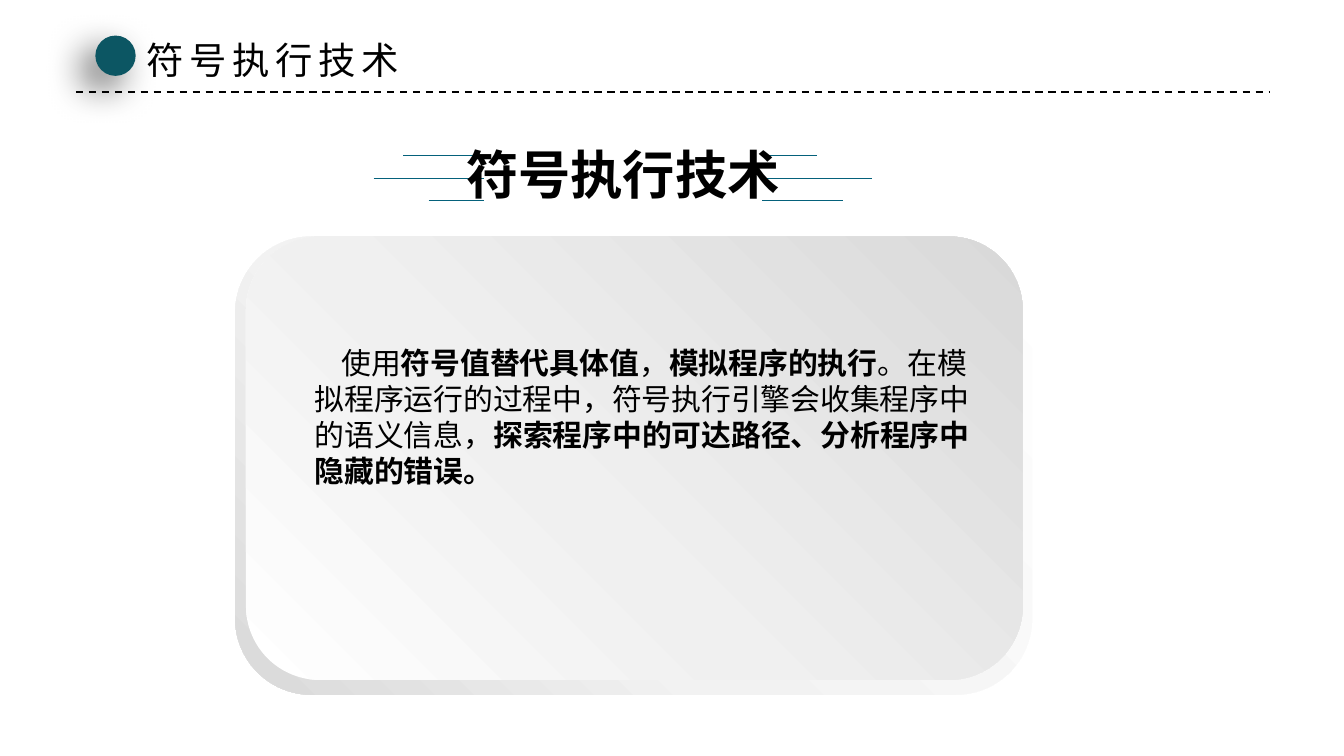
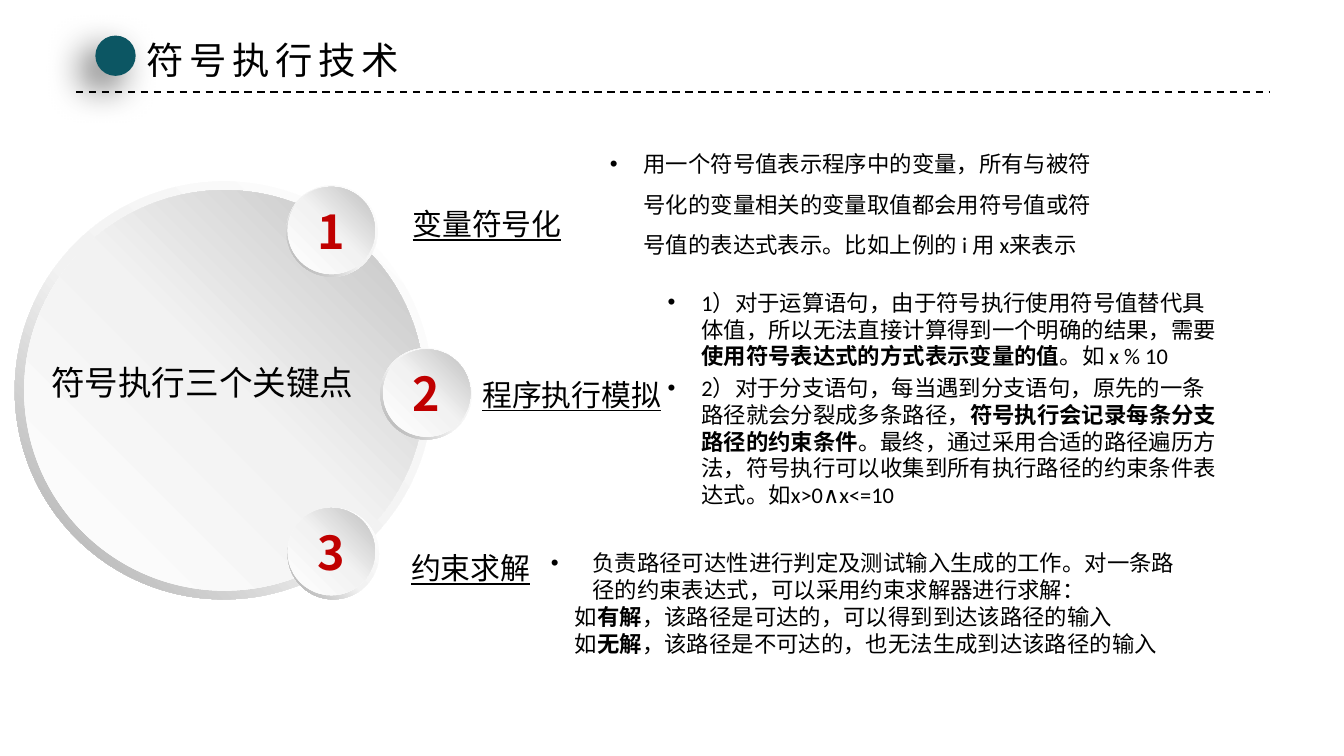
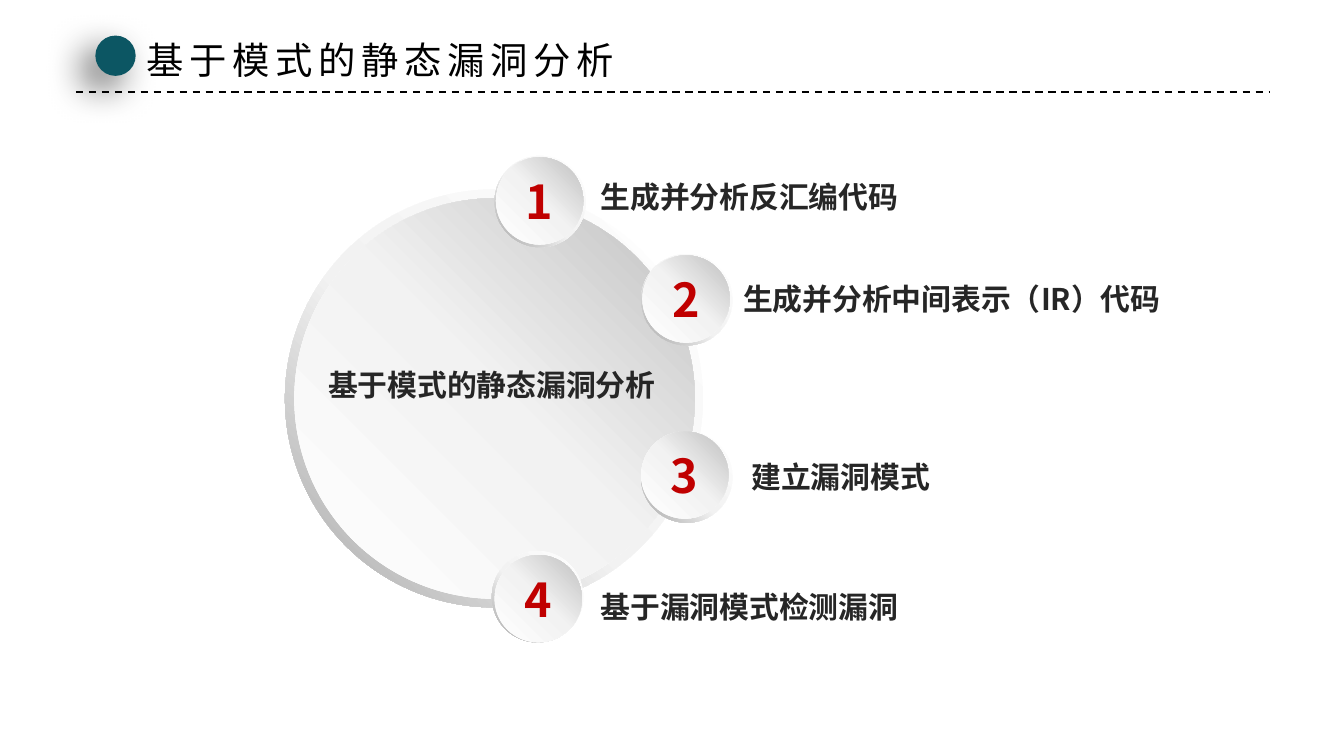
from lxml.etree import SubElement as Sub
from pptx import Presentation
from pptx.dml.color import RGBColor
from pptx.enum.dml import MSO_LINE as Dash
from pptx.enum.shapes import MSO_CONNECTOR as Link, MSO_SHAPE as Kind
from pptx.enum.text import MSO_ANCHOR as Anchor, MSO_AUTO_SIZE as Fit, PP_ALIGN as Align
from pptx.oxml.ns import qn
from pptx.util import Inches, Pt

# Grid: 100 columns by 56.25 rows of square cells (16:9)
CELL = Inches(0.1)
COLS, ROWS = 100, 56.25

SANS, LATIN = "Noto Sans CJK SC", "Calibri"
BLACK = RGBColor(0x00, 0x00, 0x00)
DARK = RGBColor(0x26, 0x26, 0x26)
RED = RGBColor(0xC0, 0x00, 0x00)
TEAL = RGBColor(0x0C, 0x56, 0x63)
BLUE = RGBColor(0x04, 0x61, 0x7B)
WHITE = RGBColor(0xFF, 0xFF, 0xFF)
PALE = RGBColor(0xF2, 0xF2, 0xF2)
MIST = RGBColor(0xF0, 0xF0, 0xF0)
LIGHT = RGBColor(0xD9, 0xD9, 0xD9)
SILVER = RGBColor(0xBF, 0xBF, 0xBF)
GREY = RGBColor(0xA6, 0xA6, 0xA6)

# Gradients: direction (counter-clockwise degrees) and stops
DOWN, UP = 225, 45
RIM = DOWN, [(0, WHITE), (55, PALE), (100, GREY)]
FACE = UP, [(0, WHITE), (51, PALE), (100, SILVER)]
BACK = DOWN, [(0, WHITE), (62, PALE), (100, LIGHT)]
FRONT = UP, [(0, WHITE), (42, MIST), (100, LIGHT)]


def grid(*cells):
    return [round(cell * CELL) for cell in cells]


def rule(slide, left, right, row, color, width, dash=None):
    line = slide.shapes.add_connector(Link.STRAIGHT, *grid(left, row, right, row))
    line.line.color.rgb = color
    line.line.width = Pt(width)
    if dash:
        line.line.dash_style = dash
    Sub(line._element.spPr, qn("a:effectLst"))


def solid(slide, kind, box, fill):
    """Borderless shape, filled with a colour or a gradient."""
    shape = slide.shapes.add_shape(kind, *grid(*box))
    shape.line.fill.background()
    shape.shadow.inherit = False
    if isinstance(fill, RGBColor):
        shape.fill.solid()
        shape.fill.fore_color.rgb = fill
        return shape
    angle, stops = fill
    shape.fill.gradient()
    shape.fill.gradient_angle = angle
    ramp = shape._element.spPr.find(".//" + qn("a:gsLst"))
    ramp.clear()
    for share, color in stops:
        stop = Sub(ramp, qn("a:gs"), pos=str(share * 1000))
        Sub(stop, qn("a:srgbClr"), val=str(color))
    return shape


def cast(shape):
    """Soft shadow towards the lower left."""
    effects = shape._element.spPr.find(qn("a:effectLst"))
    shade = Sub(effects, qn("a:outerShdw"), blurRad=str(Pt(20)), dist=str(Pt(10)),
                dir="8100000", algn="tr", rotWithShape="0")
    color = Sub(shade, qn("a:srgbClr"), val=str(BLACK))
    Sub(color, qn("a:alpha"), val="60000")


def style(run, size, face, color, bold):
    font = run.font
    font.size, font.name, font.bold = Pt(size), face, bold
    font.color.rgb = color
    Sub(run._r.get_or_add_rPr(), qn("a:ea"), typeface=SANS)


def write(slide, box, lines, size=16, face=SANS, color=BLACK, bold=False,
          align=None, space=None, inset=(0, 0), wrap=True):
    """Text box; words between asterisks are bold."""
    frame = slide.shapes.add_textbox(*grid(*box)).text_frame
    frame.word_wrap = wrap
    frame.auto_size = Fit.SHAPE_TO_FIT_TEXT
    frame.margin_left = frame.margin_right = Inches(inset[0])
    frame.margin_top = frame.margin_bottom = Inches(inset[1])
    for num, line in enumerate(lines):
        para = frame.add_paragraph() if num else frame.paragraphs[0]
        para.alignment = align
        if space:
            para.line_spacing = space
        for part, words in enumerate(line.split("*")):
            if words:
                run = para.add_run()
                run.text = words
                style(run, size, face, color, bold or part % 2 == 1)
    return frame


def indent(para, left, first, bullet=False):
    props = para._p.get_or_add_pPr()
    props.set("marL", str(Inches(left)))
    props.set("indent", str(Inches(first)))
    if bullet:
        Sub(props, qn("a:buFont"), typeface="Arial")
        Sub(props, qn("a:buChar"), char="•")


def detail(slide, box, lines, space=None):
    """Bulleted explanation with a deep indent."""
    frame = write(slide, box, lines, 12, LATIN, space=space, inset=(0.1, 0.05))
    for num, para in enumerate(frame.paragraphs):
        para.level = 2
        if num:
            para.space_before = Pt(2.4)
        indent(para, 1.25, -0.25, True)


def label(slide, left, top, words, **look):
    return write(slide, (left, top, 33.7, 2.7), [words], align=Align.JUSTIFY, **look)


def disc(slide, left, top, size, inner, shift):
    """Raised disc: a rim with a lighter face inside."""
    ring = solid(slide, Kind.DONUT, (left, top, size, size), RIM)
    ring.adjustments[0] = 0.049
    return solid(slide, Kind.OVAL, (left + shift[0], top + shift[1], inner, inner), FACE)


def hub(slide, left, top):
    disc(slide, left, top, 31.1, 29.8, (0.7, 0.65))


def badge(slide, num, left, top, shift):
    frame = disc(slide, left, top, 6.8, 6.5, shift).text_frame
    frame.text = str(num)
    frame.vertical_anchor = Anchor.MIDDLE
    para = frame.paragraphs[0]
    para.alignment = Align.CENTER
    style(para.runs[0], 25, SANS, RED, True)


def page(deck, title, width):
    """New slide with the shared header."""
    slide = deck.slides.add_slide(deck.slide_layouts[6])
    rule(slide, 5.65, 94.4, 6.85, BLACK, 1, Dash.DASH)
    cast(solid(slide, Kind.OVAL, (7.1, 2.65, 3, 3), TEAL))
    frame = write(slide, (9.9, 2.3, width, 4.4), [title], 20,
                  inset=(0.1, 0.05), wrap=False)
    frame.paragraphs[0].runs[0]._r.get_or_add_rPr().set("spc", "300")
    return slide


def intro(deck):
    slide = page(deck, "符号执行技术", 21.4)
    # Speed lines beside the heading
    for row, left, right in [(11.6, 30, 60.8), (13.25, 27.8, 64.9), (14.9, 31.9, 62.7)]:
        rule(slide, left, 36, row, BLUE, 0.5)
        rule(slide, 56.7, right, row, BLUE, 0.5)
    # Card
    solid(slide, Kind.ROUNDED_RECTANGLE, (17.5, 17.6, 59.3, 34.1), BACK)
    solid(slide, Kind.ROUNDED_RECTANGLE, (18.3, 17.6, 57.8, 33), FRONT)
    frame = write(slide, (23.4, 25.65, 48.8, 10.8), [
        "使用*符号值替代具体值*，*模拟程序的执行*。在模拟程序运行的过程中，"
        "符号执行引擎会收集程序中的语义信息，*探索程序中的可达路径、分析程序中隐藏的错误。*"])
    indent(frame.paragraphs[0], 0, 0.2)
    write(slide, (32, 10.6, 28.7, 4.7), ["符号执行技术"], 28, bold=True, align=Align.CENTER)


def keys(deck):
    slide = page(deck, "符号执行技术", 21.4)
    hub(slide, 1.1, 13.5)
    spots = [(21.3, 13.8, (0.1, 0.1)), (28.3, 25.9, (0.2, 0.1)), (21.4, 37.8, (0, 0))]
    for num, spot in enumerate(spots, 1):
        badge(slide, num, *spot)
    write(slide, (3.8, 26, 23.7, 3.9), ["符号执行三个关键点"], 18, LATIN,
          align=Align.JUSTIFY, space=1.3)
    for left, top, words in [(30.7, 15.3, "变量符号化"), (35.9, 28, "程序执行模拟"),
                             (30.6, 40.9, "约束求解")]:
        frame = label(slide, left, top, words, face=LATIN)
        frame.paragraphs[0].runs[0].font.underline = True
    # Explanations
    detail(slide, (34.4, 9.7, 49.4, 10.1), [
        "用一个符号值表示程序中的变量，所有与被符号化的变量相关的变量取值"
        "都会用符号值或符号值的表达式表示。比如上例的 i 用 x来表示"], 1.5)
    detail(slide, (38.7, 21, 53, 17.6), [
        "1）对于运算语句，由于符号执行使用符号值替代具体值，所以无法直接计算得到"
        "一个明确的结果，需要*使用符号表达式的方式表示变量的值*。如 x % 10",
        "2）对于分支语句，每当遇到分支语句，原先的一条路径就会分裂成多条路径，"
        "*符号执行会记录每条分支路径的约束条件*。最终，通过采用合适的路径遍历方法，"
        "符号执行可以收集到所有执行路径的约束条件表达式。如x>0∧x<=10"])
    frame = write(slide, (40, 40.4, 50, 9.1), [
        "负责路径可达性进行判定及测试输入生成的工作。对一条路径的约束表达式，"
        "可以采用约束求解器进行求解：",
        "如*有解*，该路径是可达的，可以得到到达该路径的输入",
        "如*无解*，该路径是不可达的，也无法生成到达该路径的输入"],
        12, LATIN, inset=(0.1, 0.05))
    lead, *cases = frame.paragraphs
    indent(lead, 0.31, -0.31, True)
    for case in cases:
        indent(case, 0.18, 0)


def steps(deck):
    slide = page(deck, "基于模式的静态漏洞分析", 37.5)
    hub(slide, 21.2, 14.1)
    write(slide, (23.7, 26.5, 25.8, 3.2), ["基于模式的静态漏洞分析"], color=DARK,
          bold=True, align=Align.CENTER, space=1.3)
    items = [
        ((36.8, 11.6, (0.1, 0.1)), (44.7, 13.3), "生成并分析反汇编代码"),
        ((47.7, 18.9, (0.1, 0.1)), (55.3, 20.9), "生成并分析中间表示（IR）代码"),
        ((47.7, 32.1, (0, 0)), (55.9, 34.1), "建立漏洞模式"),
        ((36.6, 41, (0.2, 0.3)), (44.7, 43.8), "基于漏洞模式检测漏洞"),
    ]
    for num, (spot, place, words) in enumerate(items, 1):
        badge(slide, num, *spot)
        label(slide, *place, words, color=DARK, bold=True)


def main():
    deck = Presentation()
    deck.slide_width, deck.slide_height = grid(COLS, ROWS)
    intro(deck)
    keys(deck)
    steps(deck)
    deck.save("out.pptx")


if __name__ == "__main__":
    main()
